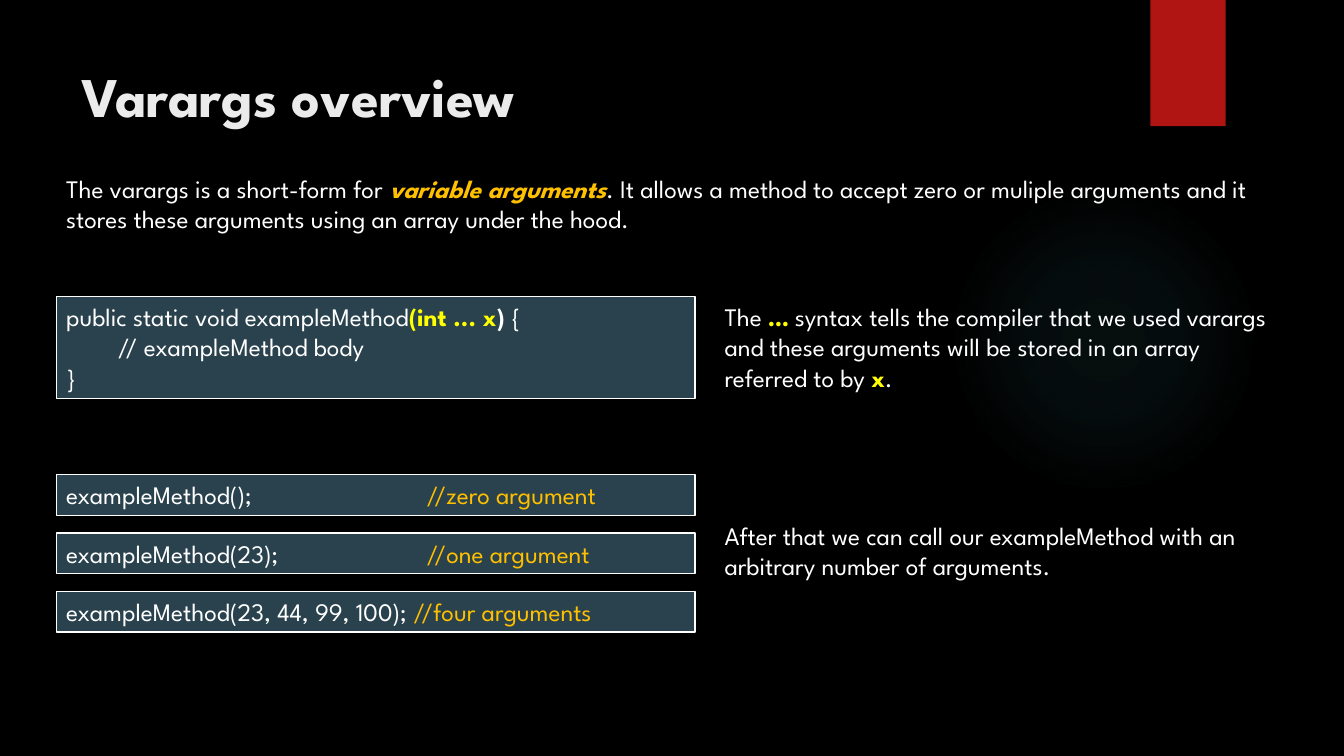
from lxml import etree
from pptx import Presentation
from pptx.dml.color import RGBColor
from pptx.enum.shapes import MSO_SHAPE
from pptx.enum.text import MSO_ANCHOR, MSO_AUTO_SIZE, PP_ALIGN
from pptx.oxml import parse_xml
from pptx.oxml.ns import nsdecls, qn
from pptx.util import Cm, Pt


class Theme:
    font = "League Spartan"
    title_size, body_size = 40, 18
    background = "000000"
    ribbon = "B01513"
    glow = "50B9C1"
    panel = "2A424D"
    title = "EBEBEB"
    text = "FFFFFF"
    gold = "FFC000"
    yellow = "FFFF00"


STYLES = {
    "plain": {},
    "strong": {"bold": True},
    "term": {"color": Theme.gold, "bold": True, "italic": True},
    "key": {"color": Theme.yellow, "bold": True},
    "comment": {"color": Theme.gold},
}

TITLE = [[("Varargs overview", "strong")]]
INTRO = [[
    ("The varargs is a short-form for ", "plain"),
    ("variable arguments", "term"),
    (". It allows a method to accept zero or muliple arguments and it stores "
     "these arguments using an array under the hood.", "plain"),
]]
DECLARATION = [
    [("public static void exampleMethod", "plain"), ("(int ... x", "key"),
     (") ", "strong"), ("{", "plain")],
    [("\t// exampleMethod body", "plain")],
    [("}", "plain")],
]
SYNTAX_NOTE = [[
    ("The ", "plain"), ("…", "key"),
    (" syntax tells the compiler that we used varargs and these arguments "
     "will be stored in an array referred to by ", "plain"),
    ("x", "key"), (".", "plain"),
]]
CALLS = [
    ("exampleMethod();\t", "//zero argument"),
    ("exampleMethod(23);\t", "//one argument"),
    ("exampleMethod(23, 44, 99, 100); ", "//four arguments"),
]
CALL_NOTE = [[("After that we can call our exampleMethod with an arbitrary "
               "number of arguments.", "plain")]]

LEFT, CODE_WIDTH = 1.42, 16.1
NOTE_LEFT, NOTE_WIDTH = 18.01, 14.4
DECLARATION_TOP = 7.47
ONE_LINE, TWO_LINES, THREE_LINES = 1.03, 1.8, 2.57
CALL_TOP, CALL_PITCH = 11.96, 1.47
BODY_TAB, COMMENT_TAB = 1.3, 9.08
GLOW_STOPS = [(0, 7), (36, 6), (69, 0)]


def rgb(color):
    return RGBColor.from_string(color)


def add_preset(slide, preset, box, fill):
    shape = slide.shapes.add_shape(preset, *map(Cm, box))
    shape.shadow.inherit = False
    shape.fill.solid()
    shape.fill.fore_color.rgb = rgb(fill)
    shape.line.fill.background()
    return shape


def add_glow(slide, box):
    glow = add_preset(slide, MSO_SHAPE.OVAL, box, Theme.glow)
    stops = "".join(
        f'<a:gs pos="{pos * 1000}"><a:srgbClr val="{Theme.glow}">'
        f'<a:alpha val="{alpha * 1000}"/></a:srgbClr></a:gs>'
        for pos, alpha in GLOW_STOPS)
    gradient = parse_xml(
        f'<a:gradFill {nsdecls("a")} rotWithShape="1"><a:gsLst>{stops}</a:gsLst>'
        '<a:path path="circle"><a:fillToRect l="50000" t="50000" r="50000" '
        'b="50000"/></a:path></a:gradFill>')
    properties = glow.element.spPr
    properties.replace(properties.find(qn("a:solidFill")), gradient)


def write(shape, paragraphs, size=Theme.body_size, color=Theme.text, tab=None,
          anchor=MSO_ANCHOR.TOP, fit=MSO_AUTO_SIZE.SHAPE_TO_FIT_TEXT):
    frame = shape.text_frame
    frame.word_wrap = True
    frame.auto_size = fit
    frame.vertical_anchor = anchor
    for index, runs in enumerate(paragraphs):
        paragraph = frame.add_paragraph() if index else frame.paragraphs[0]
        paragraph.alignment = PP_ALIGN.LEFT
        if tab:
            tabs = etree.SubElement(paragraph._p.get_or_add_pPr(), qn("a:tabLst"))
            etree.SubElement(tabs, qn("a:tab"), pos=str(Cm(tab)), algn="l")
        paragraph.font.name = Theme.font
        paragraph.font.size = Pt(size)
        for words, style_name in runs:
            style = STYLES[style_name]
            run = paragraph.add_run()
            run.text = words
            run.font.color.rgb = rgb(style.get("color", color))
            run.font.bold = style.get("bold")
            run.font.italic = style.get("italic")


def add_text(slide, box, paragraphs, **options):
    write(slide.shapes.add_textbox(*map(Cm, box)), paragraphs, **options)


def add_code(slide, top, height, paragraphs, tab):
    panel = add_preset(slide, MSO_SHAPE.RECTANGLE,
                       (LEFT, top, CODE_WIDTH, height), Theme.panel)
    panel.line.color.rgb = rgb(Theme.text)
    panel.line.width = Pt(1)
    write(panel, paragraphs, tab=tab)


def main():
    deck = Presentation()
    deck.slide_width, deck.slide_height = Cm(33.87), Cm(19.05)
    slide = deck.slides.add_slide(deck.slide_layouts[6])
    slide.background.fill.solid()
    slide.background.fill.fore_color.rgb = rgb(Theme.background)

    add_glow(slide, (23.9, 4.65, 7.82, 7.82))
    add_preset(slide, MSO_SHAPE.RECTANGLE, (28.99, 0, 1.9, 3.18), Theme.ribbon)
    add_text(slide, (1.8, 1.27, 27.33, 2.24), TITLE, size=Theme.title_size,
             color=Theme.title, anchor=MSO_ANCHOR.MIDDLE, fit=MSO_AUTO_SIZE.NONE)
    add_text(slide, (LEFT, 4.24, 30.99, TWO_LINES), INTRO)

    add_code(slide, DECLARATION_TOP, THREE_LINES, DECLARATION, BODY_TAB)
    add_text(slide, (NOTE_LEFT, DECLARATION_TOP, NOTE_WIDTH, THREE_LINES), SYNTAX_NOTE)

    for row, (call, comment) in enumerate(CALLS):
        add_code(slide, CALL_TOP + row * CALL_PITCH, ONE_LINE,
                 [[(call, "plain"), (comment, "comment")]], COMMENT_TAB)
    add_text(slide, (NOTE_LEFT, 12.98, NOTE_WIDTH, TWO_LINES), CALL_NOTE)

    deck.save("out.pptx")


if __name__ == "__main__":
    main()
